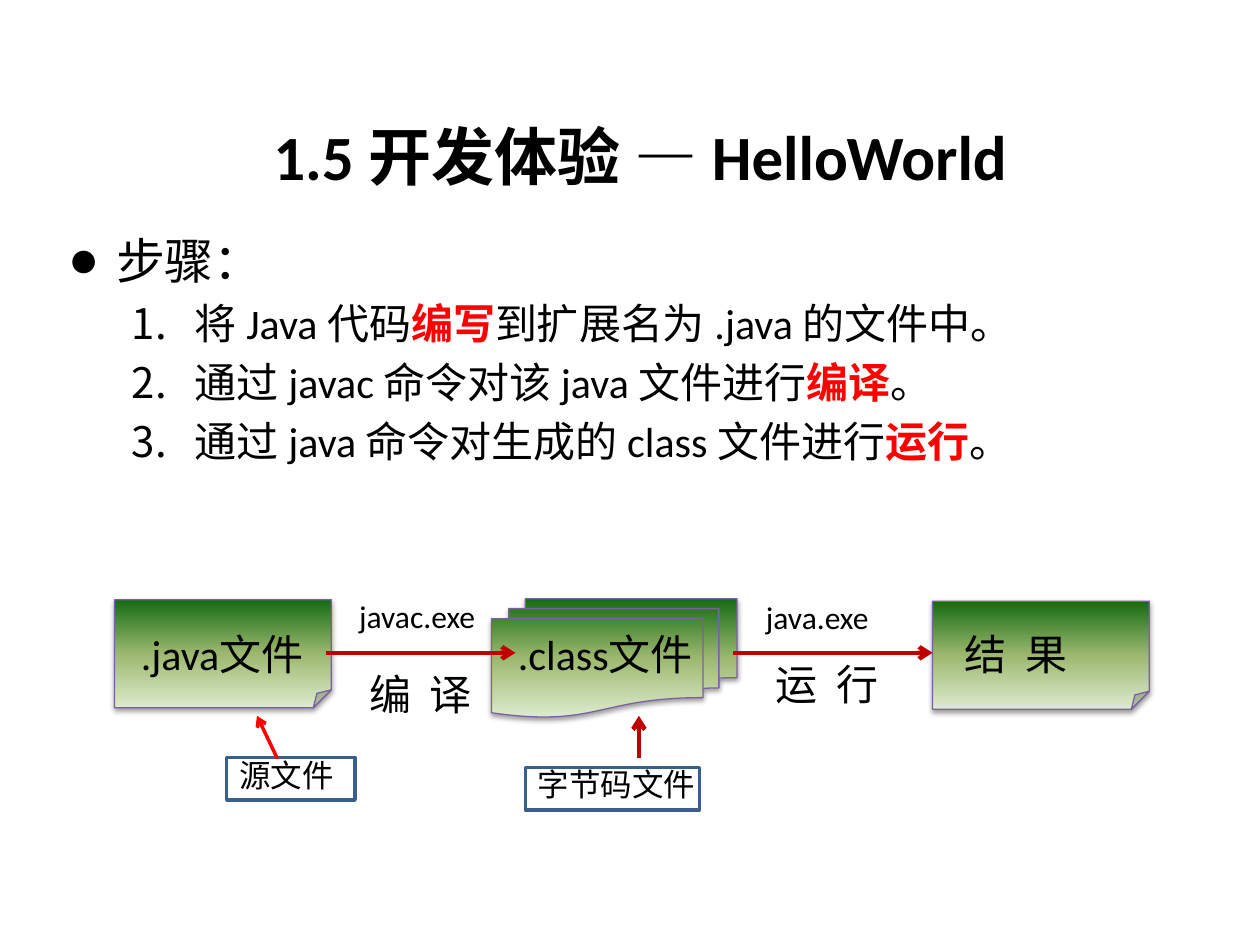
from dataclasses import dataclass

from lxml.etree import SubElement
from pptx import Presentation
from pptx.dml.color import RGBColor
from pptx.enum.shapes import MSO_CONNECTOR, MSO_SHAPE
from pptx.enum.text import MSO_AUTO_SIZE
from pptx.oxml import parse_xml
from pptx.oxml.ns import nsdecls, qn
from pptx.util import Cm, Pt

BLACK = RGBColor(0x00, 0x00, 0x00)
RED = RGBColor(0xFF, 0x00, 0x00)
CRIMSON = RGBColor(0xC0, 0x00, 0x00)
PURPLE = RGBColor(0x7D, 0x60, 0xA0)
BLUE = RGBColor(0x3A, 0x5F, 0x8C)
PALE = RGBColor(0xDD, 0xEB, 0xCF)
OLIVE = RGBColor(0x9C, 0xB8, 0x6E)
GREEN = RGBColor(0x15, 0x6B, 0x13)
LATIN = "Calibri"
HAN = "Noto Sans CJK SC"


@dataclass
class Node:
    kind: MSO_SHAPE
    left: float
    top: float
    width: float
    height: float


@dataclass
class Label:
    text: str
    left: float
    top: float
    width: float
    height: float
    size: int = 24
    font: str = LATIN
    bold: bool = False
    wrap: bool = True


@dataclass
class Arrow:
    start: tuple[float, float]
    end: tuple[float, float]
    color: RGBColor = CRIMSON
    weight: float = 2.5


@dataclass
class Step:
    before: str
    key: str
    after: str


NODES = [
    Node(MSO_SHAPE.FOLDED_CORNER, 18.8, 12.12, 4.37, 2.18),
    Node(MSO_SHAPE.FLOWCHART_MULTIDOCUMENT, 9.91, 12.07, 4.95, 2.39),
    Node(MSO_SHAPE.FOLDED_CORNER, 2.31, 12.09, 4.37, 2.18),
]
STEPS = [
    Step("将 Java 代码", "编写", "到扩展名为 .java 的文件中。"),
    Step("通过 javac 命令对该 java 文件进行", "编译", "。"),
    Step("通过 java 命令对生成的 class 文件进行", "运行", "。"),
]
LABELS = [
    Label("1.5 开发体验 — HelloWorld", 5.26, 2.24, 15.93, 1.8, 36,
          bold=True, wrap=False),
    Label(".java文件", 2.59, 12.55, 4.19, 1.27),
    Label(".class文件", 10.19, 12.55, 4.39, 1.27),
    Label("结  果", 19.2, 12.55, 3.4, 1.3),
    Label("javac.exe", 6.99, 11.91, 3.4, 1.02, 18),
    Label("编  译", 7.19, 13.36, 3.4, 1.3),
    Label("java.exe", 15.19, 11.94, 3.4, 1.02, 18),
    Label("运  行", 15.39, 13.16, 3.2, 1.3),
    Label("源文件", 4.57, 15.11, 4.09, 1.02, 18),
    Label("字节码文件", 10.59, 15.29, 4.6, 1.02, 18, HAN),
]
FRAMES = [
    Node(MSO_SHAPE.RECTANGLE, 4.57, 15.27, 2.59, 0.86),
    Node(MSO_SHAPE.RECTANGLE, 10.59, 15.47, 3.51, 0.86),
]
ARROWS = [
    Arrow((5.59, 15.29), (5.18, 14.43), RED, 2),
    Arrow((6.58, 13.16), (10.39, 13.16)),
    Arrow((14.78, 13.16), (18.8, 13.16)),
    Arrow((12.88, 15.29), (12.88, 14.43)),
]


def add_run(para, text: str, size: int, color: RGBColor = BLACK,
            bold: bool = False, font: str = LATIN) -> None:
    run = para.add_run()
    run.text = text
    run.font.size = Pt(size)
    run.font.bold = bold
    run.font.name = font
    run.font.color.rgb = color
    SubElement(run.font._element, qn("a:ea"), typeface=HAN)


def add_shape(slide, node: Node, color: RGBColor, weight: float):
    shape = slide.shapes.add_shape(
        node.kind, Cm(node.left), Cm(node.top), Cm(node.width), Cm(node.height))
    shape.shadow.inherit = False
    shape.fill.background()
    shape.line.color.rgb = color
    shape.line.width = Pt(weight)
    return shape


def add_node(slide, node: Node) -> None:
    shape = add_shape(slide, node, PURPLE, 0.75)
    stops = "".join(
        f'<a:gs pos="{pos}"><a:srgbClr val="{color}"/></a:gs>'
        for pos, color in ((0, PALE), (50000, OLIVE), (100000, GREEN)))
    props = shape._element.spPr
    props.replace(props.find(qn("a:noFill")), parse_xml(
        f'<a:gradFill {nsdecls("a")} rotWithShape="1"><a:gsLst>{stops}</a:gsLst>'
        '<a:lin ang="16200000" scaled="0"/></a:gradFill>'))
    shadow = SubElement(props.find(qn("a:effectLst")), qn("a:outerShdw"),
                        blurRad=str(Pt(3.1)), dist=str(Pt(1.6)),
                        dir="5400000", rotWithShape="0")
    tint = SubElement(shadow, qn("a:srgbClr"), val=str(BLACK))
    SubElement(tint, qn("a:alpha"), val="38000")


def add_label(slide, label: Label) -> None:
    box = slide.shapes.add_textbox(
        Cm(label.left), Cm(label.top), Cm(label.width), Cm(label.height))
    frame = box.text_frame
    frame.word_wrap = label.wrap
    frame.auto_size = MSO_AUTO_SIZE.SHAPE_TO_FIT_TEXT
    add_run(frame.paragraphs[0], label.text, label.size,
            bold=label.bold, font=label.font)


def add_arrow(slide, arrow: Arrow) -> None:
    line = slide.shapes.add_connector(
        MSO_CONNECTOR.STRAIGHT, *map(Cm, arrow.start + arrow.end))
    line.line.color.rgb = arrow.color
    line.line.width = Pt(arrow.weight)
    SubElement(line.line._get_or_add_ln(), qn("a:tailEnd"), type="arrow")
    SubElement(line._element.spPr, qn("a:effectLst"))


def set_list(para, margin: float, hang: float, gap: float,
             tag: str, **marks: str) -> None:
    para.space_before = Pt(gap)
    props = para._p.get_or_add_pPr()
    props.set("marL", str(Cm(margin)))
    props.set("indent", str(-Cm(hang)))
    SubElement(props, qn("a:buFont"), typeface=LATIN)
    SubElement(props, qn(tag), **marks)


def add_steps(slide) -> None:
    frame = slide.shapes.add_textbox(
        Cm(1.14), Cm(4.52), Cm(22.86), Cm(6.27)).text_frame
    frame.word_wrap = True
    head = frame.paragraphs[0]
    set_list(head, 0.95, 0.95, 5.6, "a:buChar", char="●")
    add_run(head, "步骤：", 28)
    for step in STEPS:
        para = frame.add_paragraph()
        para.level = 1
        set_list(para, 2.54, 1.27, 4.8, "a:buAutoNum", type="arabicPeriod")
        add_run(para, step.before, 24)
        add_run(para, step.key, 24, RED, True)
        add_run(para, step.after, 24)


def main() -> None:
    deck = Presentation()
    deck.slide_width, deck.slide_height = Cm(25.4), Cm(19.05)
    slide = deck.slides.add_slide(deck.slide_layouts[6])
    for node in NODES:
        add_node(slide, node)
    add_steps(slide)
    for label in LABELS:
        add_label(slide, label)
    for frame in FRAMES:
        add_shape(slide, frame, BLUE, 2)
    for arrow in ARROWS:
        add_arrow(slide, arrow)
    deck.save("out.pptx")


if __name__ == "__main__":
    main()
